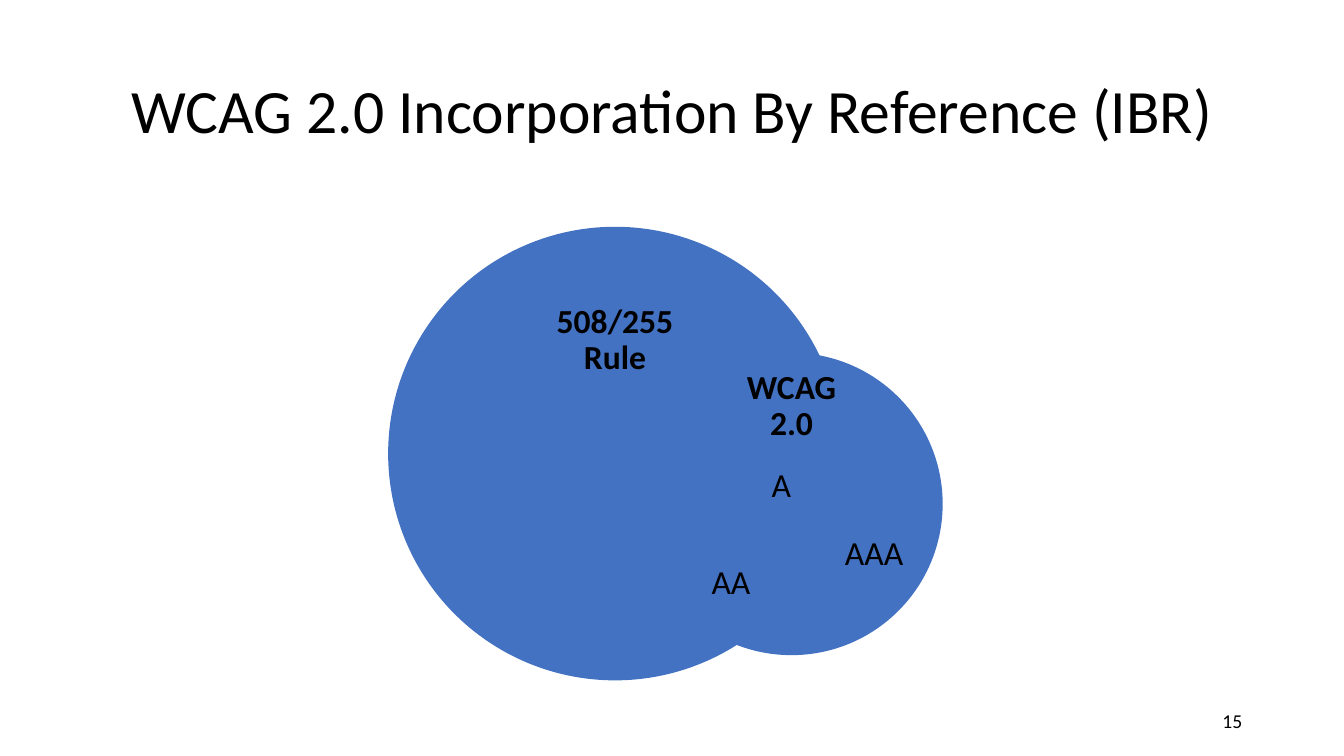
from dataclasses import dataclass

from pptx import Presentation
from pptx.dml.color import RGBColor
from pptx.enum.shapes import MSO_SHAPE
from pptx.enum.text import MSO_ANCHOR, PP_ALIGN
from pptx.util import Inches, Pt


@dataclass(frozen=True)
class Theme:
    font: str = "Calibri"
    ink: RGBColor = RGBColor(0x00, 0x00, 0x00)
    circle: RGBColor = RGBColor(0x43, 0x72, 0xC3)
    title_size: int = 44
    label_size: int = 24
    number_size: int = 14
    line_spacing: float = 0.9


THEME = Theme()

# Each circle: name, left, top, diameter, label centre below top, label width, bold
CIRCLES = [
    ("508/255 Rule", 0, 0, 4.5, 1.13, 1.31, True),
    ("WCAG 2.0", 2.5, 1.25, 3, 0.53, 1.29, True),
    ("A", 3.4, 2.08, 1, 0.5, 0.71, False),
    ("AA", 2.9, 3, 1, 0.54, 0.71, False),
    ("AAA", 4.32, 2.75, 1, 0.5, 0.71, False),
]


def write(frame, text, size, align, bold=False, spacing=None):
    frame.word_wrap = True
    frame.vertical_anchor = MSO_ANCHOR.MIDDLE
    para = frame.paragraphs[0]
    para.alignment = align
    para.line_spacing = spacing
    span = para.add_run()
    span.text = text
    span.font.name = THEME.font
    span.font.size = Pt(size)
    span.font.bold = bold
    span.font.color.rgb = THEME.ink


def place_title(page, left, top, width, height):
    title = page.shapes.title
    title.left, title.top = Inches(left), Inches(top)
    title.width, title.height = Inches(width), Inches(height)
    write(title.text_frame, "WCAG 2.0 Incorporation By Reference (IBR)",
          THEME.title_size, PP_ALIGN.CENTER, spacing=THEME.line_spacing)


def add_circle(page, left, top, diameter):
    circle = page.shapes.add_shape(MSO_SHAPE.OVAL, Inches(left), Inches(top),
                                   Inches(diameter), Inches(diameter))
    circle.shadow.inherit = False
    circle.fill.solid()
    circle.fill.fore_color.rgb = THEME.circle
    circle.line.fill.background()


def add_label(page, text, center_x, center_y, width, bold):
    height = 0.72 if bold else 0.5
    box = page.shapes.add_textbox(Inches(center_x - width / 2), Inches(center_y - height / 2),
                                  Inches(width), Inches(height))
    frame = box.text_frame
    frame.margin_left = frame.margin_right = frame.margin_top = frame.margin_bottom = 0
    write(frame, text, THEME.label_size, PP_ALIGN.CENTER, bold, THEME.line_spacing)


def add_venn(page, left, top):
    for name, x, y, diameter, label_y, label_width, bold in CIRCLES:
        add_circle(page, left + x, top + y, diameter)
        add_label(page, name, left + x + diameter / 2, top + y + label_y, label_width, bold)


def add_page_number(page, left, top, width, height):
    box = page.shapes.add_textbox(Inches(left), Inches(top), Inches(width), Inches(height))
    write(box.text_frame, "15", THEME.number_size, PP_ALIGN.RIGHT)


def main():
    deck = Presentation()
    deck.slide_width, deck.slide_height = Inches(13.33), Inches(7.5)
    page = deck.slides.add_slide(deck.slide_layouts[5])
    place_title(page, 0.92, 0.4, 11.5, 1.45)
    add_venn(page, 3.85, 2.25)
    add_page_number(page, 9.42, 6.95, 3, 0.4)
    deck.save("out.pptx")


if __name__ == "__main__":
    main()
